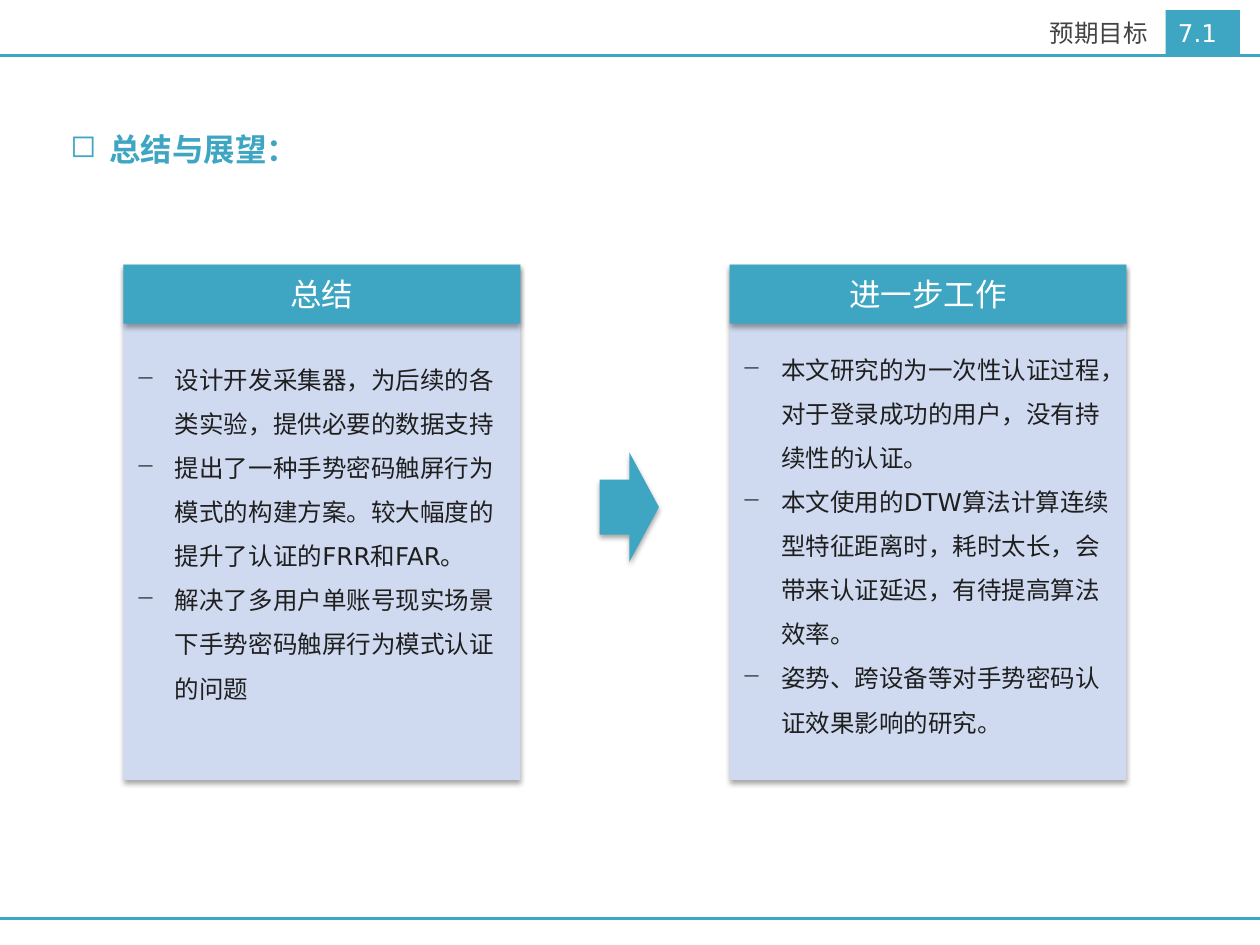
from dataclasses import dataclass

from lxml.etree import SubElement
from pptx import Presentation
from pptx.dml.color import RGBColor
from pptx.enum.shapes import MSO_CONNECTOR as Connector, MSO_SHAPE as Shape
from pptx.enum.text import MSO_ANCHOR as Anchor, MSO_AUTO_SIZE as AutoSize, PP_ALIGN as Align
from pptx.oxml import parse_xml
from pptx.oxml.ns import nsdecls, qn
from pptx.slide import Slide
from pptx.util import Inches, Pt

TEAL = RGBColor(0x3E, 0xA6, 0xC2)
PALE_BLUE = RGBColor(0xCF, 0xDA, 0xF0)
GREY = RGBColor(0x43, 0x43, 0x43)
INK = RGBColor(0x1F, 0x1F, 0x1F)
WHITE = RGBColor(0xFF, 0xFF, 0xFF)

PANEL_TOP, PANEL_WIDTH, PANEL_HEIGHT, HEADING_HEIGHT = 2.1, 3.15, 4.09, 0.47
PANELS = [
    (0.98, "总结", 2.73, 2.91, [
        "设计开发采集器，为后续的各类实验，提供必要的数据支持",
        "提出了一种手势密码触屏行为模式的构建方案。较大幅度的提升了认证的FRR和FAR。",
        "解决了多用户单账号现实场景下手势密码触屏行为模式认证的问题",
    ]),
    (5.79, "进一步工作", 2.65, 3.26, [
        "本文研究的为一次性认证过程，对于登录成功的用户，没有持续性的认证。",
        "本文使用的DTW算法计算连续型特征距离时，耗时太长，会带来认证延迟，有待提高算法效率。",
        "姿势、跨设备等对手势密码认证效果影响的研究。",
    ]),
]


@dataclass
class Painter:
    """Holds the style and the current slide, and draws each kind of element."""

    page: Slide
    font: str = "DejaVu Sans"

    def set_text(self, para, text, size, color, align=Align.LEFT, bold=False):
        para.text = text
        para.alignment = align
        para.font.name = self.font
        para.font.size = Pt(size)
        para.font.color.rgb = color
        para.font.bold = bold

    def title(self, text, left, top, width, height):
        box = self.page.shapes.title
        box.left, box.top = Inches(left), Inches(top)
        box.width, box.height = Inches(width), Inches(height)
        box.text_frame.auto_size = AutoSize.NONE
        box.text_frame.vertical_anchor = Anchor.MIDDLE
        self.set_text(box.text_frame.paragraphs[0], text, 14, GREY, Align.RIGHT)

    def rule(self, top):
        line = self.page.shapes.add_connector(
            Connector.STRAIGHT, 0, Inches(top), Inches(10), Inches(top))
        line.line.color.rgb = TEAL
        line.line.width = Pt(1.5)
        SubElement(line._element.spPr, qn("a:effectLst"))

    def block(self, kind, left, top, width, height, fill, shadow=True):
        shape = self.page.shapes.add_shape(
            kind, Inches(left), Inches(top), Inches(width), Inches(height))
        shape.fill.solid()
        shape.fill.fore_color.rgb = fill
        shape.line.fill.background()
        shape.shadow.inherit = False
        if shadow:
            effects = shape._element.spPr.find(qn("a:effectLst"))
            effects.append(parse_xml(
                f'<a:outerShdw {nsdecls("a")} blurRad="{Pt(3.1)}" dist="{Pt(1.8)}" '
                'dir="5400000" rotWithShape="0"><a:srgbClr val="000000">'
                '<a:alpha val="35000"/></a:srgbClr></a:outerShdw>'))
        return shape

    def label(self, shape, text, size, align=Align.CENTER):
        shape.text_frame.vertical_anchor = Anchor.MIDDLE
        self.set_text(shape.text_frame.paragraphs[0], text, size, WHITE, align)

    def bullets(self, items, mark, left, top, width, height, size, color, spacing=1.0, bold=False):
        box = self.page.shapes.add_textbox(
            Inches(left), Inches(top), Inches(width), Inches(height))
        frame = box.text_frame
        frame.word_wrap = True
        frame.auto_size = AutoSize.SHAPE_TO_FIT_TEXT
        for index, item in enumerate(items):
            para = frame.add_paragraph() if index else frame.paragraphs[0]
            self.set_text(para, item, size, color, bold=bold)
            para.line_spacing = spacing
            props = para._p.get_or_add_pPr()
            props.set("marL", str(Inches(0.31)))
            props.set("indent", str(-Inches(0.31)))
            bullet = parse_xml(f'<a:buChar {nsdecls("a")} char="{mark}"/>')
            props.insert_element_before(bullet, "a:tabLst", "a:defRPr", "a:extLst")

    def panel(self, left, heading, text_top, text_height, items):
        self.block(Shape.RECTANGLE, left, PANEL_TOP, PANEL_WIDTH, PANEL_HEIGHT, PALE_BLUE)
        bar = self.block(Shape.RECTANGLE, left, PANEL_TOP, PANEL_WIDTH, HEADING_HEIGHT, TEAL)
        self.label(bar, heading, 18)
        self.bullets(items, "−", left, text_top, PANEL_WIDTH, text_height, 14, INK, 1.5)


def main():
    deck = Presentation()
    deck.slide_width, deck.slide_height = Inches(10), Inches(7.5)
    painter = Painter(deck.slides.add_slide(deck.slide_layouts[5]))

    for top in (0.44, 7.29):
        painter.rule(top)
    painter.title("预期目标", 7.2, 0.08, 2.01, 0.36)
    badge = painter.block(Shape.RECTANGLE, 9.25, 0.08, 0.59, 0.36, TEAL, shadow=False)
    painter.label(badge, "7.1", 14, Align.LEFT)

    painter.bullets(["总结与展望："], "◻", 0.46, 0.98, 8.32, 0.4, 18, TEAL, bold=True)
    for panel in PANELS:
        painter.panel(*panel)
    painter.block(Shape.RIGHT_ARROW, 4.76, 3.59, 0.47, 0.87, TEAL)

    deck.save("out.pptx")


if __name__ == "__main__":
    main()
